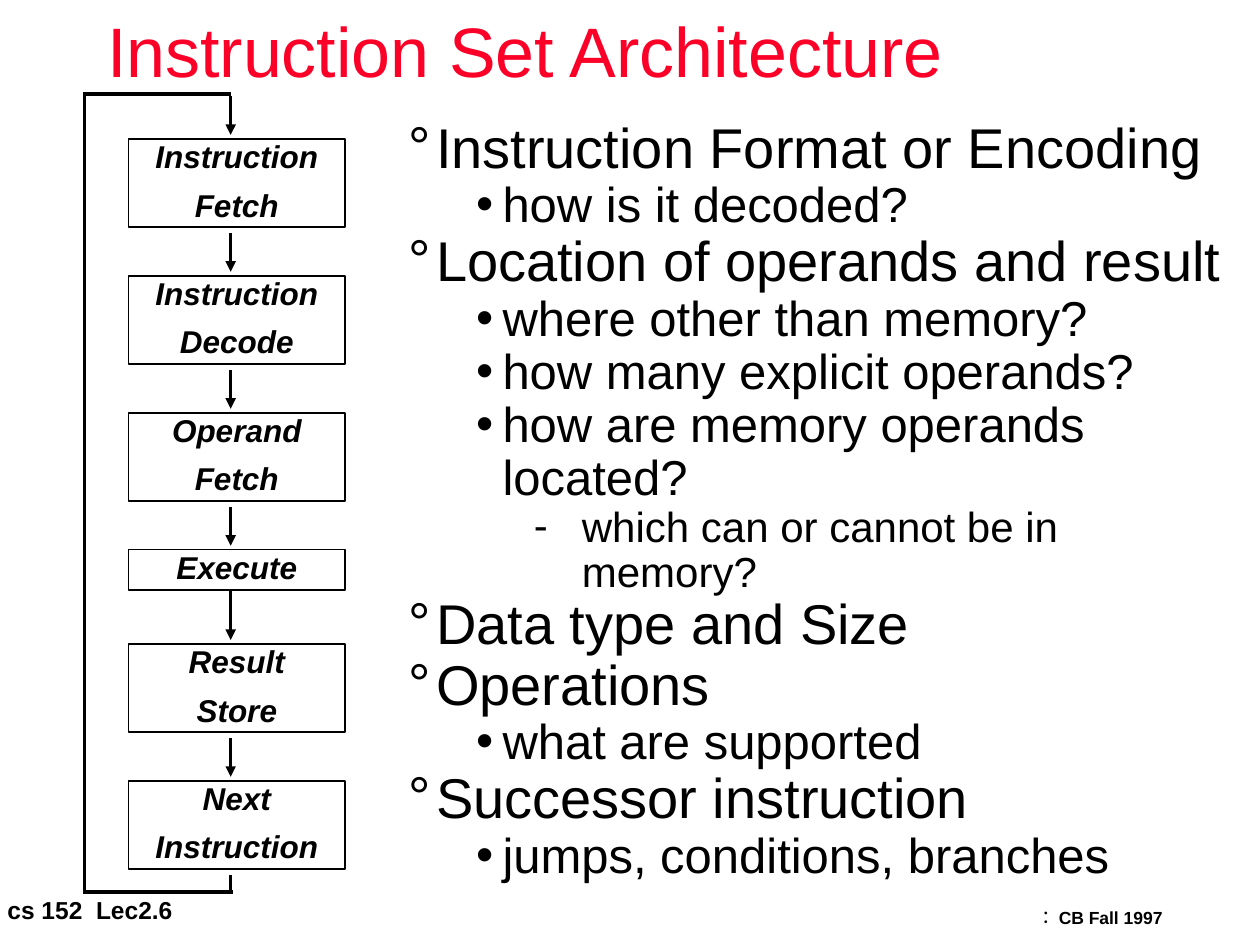
from lxml import etree
from pptx import Presentation
from pptx.dml.color import RGBColor
from pptx.enum.shapes import MSO_CONNECTOR, MSO_SHAPE
from pptx.enum.text import MSO_ANCHOR, MSO_AUTO_SIZE, PP_ALIGN
from pptx.oxml.ns import qn
from pptx.util import Cm, Pt

STRAIGHT = MSO_CONNECTOR.STRAIGHT
RECTANGLE = MSO_SHAPE.RECTANGLE
TOP = MSO_ANCHOR.TOP
NO_AUTOFIT = MSO_AUTO_SIZE.NONE
LEFT, CENTER = PP_ALIGN.LEFT, PP_ALIGN.CENTER

BLACK = RGBColor(0x00, 0x00, 0x00)
RED = RGBColor(0xFC, 0x01, 0x28)
FONT = "Arial"

# Level: bullet, font size, left margin and hanging indent in cm
LEVELS = [("°", 32, 0.56, 0.56), ("•", 28, 1.9, 0.53), ("-", 24, 3.5, 0.97)]

TOPICS = [
    (0, "Instruction Format or Encoding"),
    (1, "how is it decoded?"),
    (0, "Location of operands and result"),
    (1, "where other than memory?"),
    (1, "how many explicit operands?"),
    (1, "how are memory operands located?"),
    (2, "which can or cannot be in memory?"),
    (0, "Data type and Size"),
    (0, "Operations"),
    (1, "what are supported"),
    (0, "Successor instruction"),
    (1, "jumps, conditions, branches"),
]

# Words of each step and length of the arrow leading into it, in cm
STEPS = [
    ("Instruction\nFetch", 0.78),
    ("Instruction\nDecode", 0.78),
    ("Operand\nFetch", 0.78),
    ("Execute", 0.78),
    ("Result\nStore", 0.98),
    ("Next\nInstruction", 0.78),
]
STEP_LEFT, STEP_TOP, STEP_WIDTH = 2.59, 2.8, 4.37
STEP_HEIGHTS = {1: 0.81, 2: 1.78}
STEP_PITCHES = {1: 1.9, 2: 2.76}
ARROW_X, ARROW_GAP = 4.65, 0.08
LOOP_LEFT, LOOP_TOP, LOOP_BOTTOM = 1.7, 1.9, 17.98
OVERLAP = 0.04


def place(shape, left, top, width, height):
    shape.left, shape.top = Cm(left), Cm(top)
    shape.width, shape.height = Cm(width), Cm(height)


def prepare_frame(text_frame):
    text_frame.word_wrap = True
    text_frame.auto_size = NO_AUTOFIT
    text_frame.vertical_anchor = TOP
    text_frame.margin_left = text_frame.margin_right = Cm(0.18)
    text_frame.margin_top = text_frame.margin_bottom = Cm(0.08)


def format_paragraph(paragraph, size, color=BLACK, bold=False, italic=False,
                     align=LEFT, spacing=1.0, before=0):
    paragraph.alignment = align
    paragraph.line_spacing = spacing
    paragraph.space_before = Pt(before)
    for run in paragraph.runs:
        run.font.name = FONT
        run.font.size = Pt(size)
        run.font.bold = bold
        run.font.italic = italic
        run.font.color.rgb = color


def add_bullet(paragraph, character, margin, hanging):
    properties = paragraph._p.get_or_add_pPr()
    properties.set("marL", str(Cm(margin)))
    properties.set("indent", str(-Cm(hanging)))
    bullet_color = etree.SubElement(properties, qn("a:buClr"))
    etree.SubElement(bullet_color, qn("a:srgbClr"), val=str(BLACK))
    etree.SubElement(properties, qn("a:buChar"), char=character)


def fill_title(title):
    place(title, 1.98, 0.3, 17.3, 1.63)
    prepare_frame(title.text_frame)
    title.text_frame.text = "Instruction Set Architecture"
    format_paragraph(title.text_frame.paragraphs[0], 40, RED, spacing=0.87)


def fill_topics(body):
    place(body, 8.05, 2.34, 16.94, 16.74)
    prepare_frame(body.text_frame)
    body.text_frame.text = "\n".join(text for _, text in TOPICS)
    for paragraph, (level, _) in zip(body.text_frame.paragraphs, TOPICS):
        character, size, margin, hanging = LEVELS[level]
        paragraph.level = level
        format_paragraph(paragraph, size, spacing=0.9)
        add_bullet(paragraph, character, margin, hanging)


def add_step(slide, text, top, height):
    box = slide.shapes.add_shape(RECTANGLE, Cm(STEP_LEFT), Cm(top),
                                 Cm(STEP_WIDTH), Cm(height))
    box.shadow.inherit = False
    box.fill.background()
    box.line.color.rgb = BLACK
    box.line.width = Pt(1)
    prepare_frame(box.text_frame)
    box.text_frame.text = text
    for paragraph in box.text_frame.paragraphs:
        format_paragraph(paragraph, 18, bold=True, italic=True, align=CENTER,
                         spacing=0.86, before=9)


def add_line(slide, start, end, arrow=False):
    line = slide.shapes.add_connector(STRAIGHT, Cm(start[0]), Cm(start[1]),
                                      Cm(end[0]), Cm(end[1]))
    line.line.color.rgb = BLACK
    line.line.width = Pt(2)
    if arrow:
        etree.SubElement(line.line._get_or_add_ln(), qn("a:tailEnd"),
                         type="triangle")
    etree.SubElement(line._element.spPr, qn("a:effectLst"))


def add_cycle(slide):
    # Steps, each with the arrow leading into it
    top = STEP_TOP
    for text, arrow_length in STEPS:
        line_count = len(text.split("\n"))
        height = STEP_HEIGHTS[line_count]
        add_step(slide, text, top, height)
        arrow_end = top - ARROW_GAP
        add_line(slide, (ARROW_X, arrow_end - arrow_length),
                 (ARROW_X, arrow_end), arrow=True)
        bottom = top + height
        top += STEP_PITCHES[line_count]

    # Loop from the last step back to the first
    add_line(slide, (ARROW_X, bottom + 0.12), (ARROW_X, LOOP_BOTTOM))
    add_line(slide, (ARROW_X + OVERLAP, LOOP_BOTTOM), (LOOP_LEFT, LOOP_BOTTOM))
    add_line(slide, (LOOP_LEFT, LOOP_BOTTOM + OVERLAP),
             (LOOP_LEFT, LOOP_TOP - OVERLAP))
    add_line(slide, (LOOP_LEFT, LOOP_TOP), (ARROW_X, LOOP_TOP))


def add_footer(slide, text, size, left, top, width, height):
    box = slide.shapes.add_textbox(Cm(left), Cm(top), Cm(width), Cm(height))
    prepare_frame(box.text_frame)
    box.text_frame.text = text
    format_paragraph(box.text_frame.paragraphs[0], size, bold=True)


def main():
    presentation = Presentation()
    presentation.slide_width, presentation.slide_height = Cm(25.4), Cm(19.05)
    slide = presentation.slides.add_slide(presentation.slide_layouts[1])

    # Footers
    add_footer(slide, "cs 152  Lec2.6", 14, -0.03, 17.96, 5.82, 0.74)
    add_footer(slide, "︰CB Fall 1997", 10, 20.73, 18.21, 3, 0.56)

    # Title, instruction cycle and topics
    fill_title(slide.shapes.title)
    add_cycle(slide)
    fill_topics(slide.placeholders[1])

    presentation.save("out.pptx")


if __name__ == "__main__":
    main()
